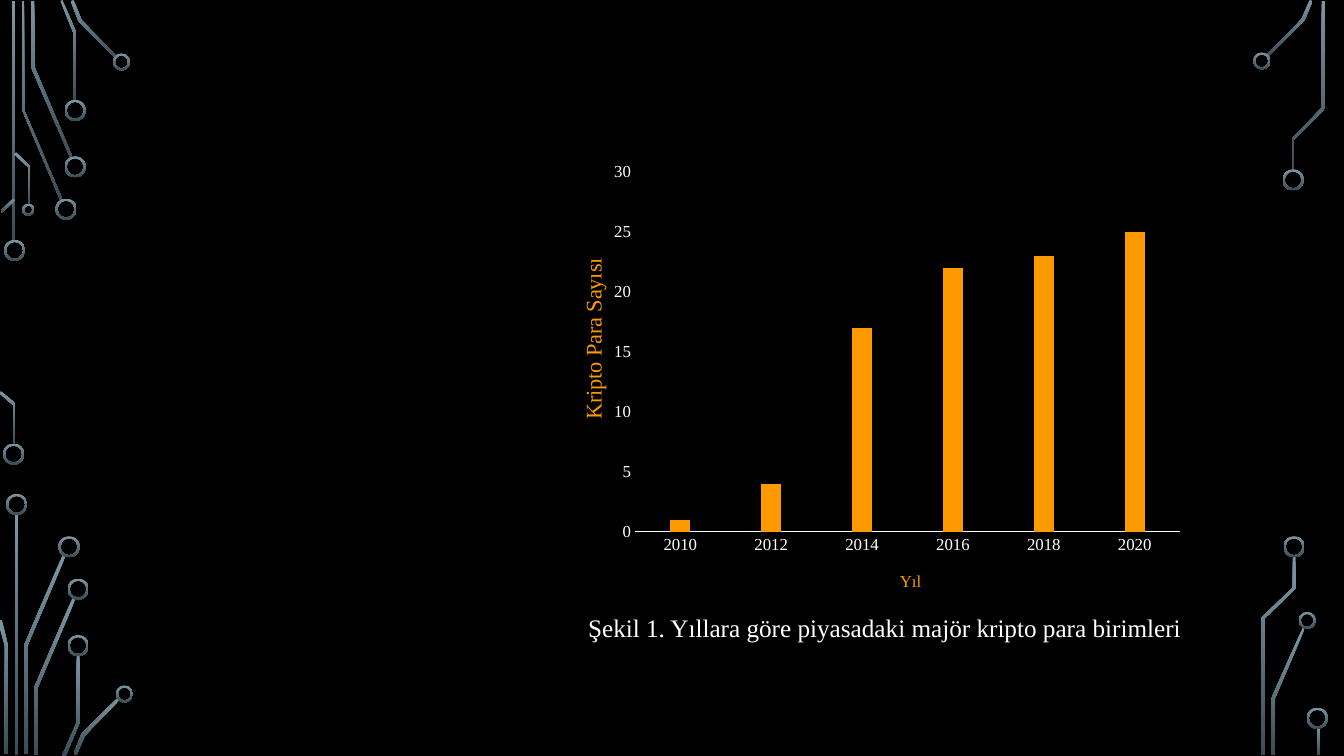
import pptx
import pptx.chart.data
import pptx.dml.color
import pptx.enum.chart
import pptx.enum.shapes
import pptx.enum.text
import pptx.oxml
import pptx.oxml.ns
import pptx.util

PX = 9144  # 100 px to the inch
FONT = "Times New Roman"
HEX = {"black": "000000", "white": "FFFFFF", "gold": "FE9900",
       "light": "7C96A3", "dark": "3B4C54"}
SHAPES = pptx.enum.shapes.MSO_SHAPE
TICK = pptx.enum.chart.XL_TICK_MARK

# Circuit bars: left, top, width, height
BARS = [(12, 1, 3, 239), (15, 510, 3, 239), (1306, 721, 3, 28)]

# Circuit rings: left, top, size
RINGS = [(4, 238, 21), (3, 440, 21), (55, 197, 21), (64, 155, 21), (64, 99, 21),
         (112, 53, 17), (22, 202, 12), (6, 490, 21), (58, 532, 21), (67, 574, 21),
         (67, 630, 21), (115, 680, 17), (1243, 52, 17), (1272, 168, 21),
         (1288, 607, 17), (1273, 532, 21), (1296, 702, 21)]

# Circuit traces: corner points
TRACES = [
    # top left
    [(60, 199), (22, 109), (22, 1), (24, 1), (24, 109), (62, 198)],
    [(70, 157), (31, 67), (31, 1), (34, 1), (34, 66), (72, 156)],
    [(76, 100), (73, 100), (73, 33), (60, 1), (62, 0), (76, 33)],
    [(115, 58), (78, 21), (70, 1), (73, 0), (81, 20), (116, 56)],
    [(2, 211), (1, 209), (13, 197), (15, 199)],
    [(15, 441), (13, 441), (13, 402), (-1, 390), (1, 388), (15, 400)],
    [(30, 203), (28, 203), (28, 166), (14, 153), (16, 151), (30, 165)],
    # bottom left
    [(27, 748), (24, 748), (24, 640), (62, 551), (65, 552), (27, 641)],
    [(8, 748), (5, 748), (5, 641), (-2, 616), (2, 615), (8, 641)],
    [(37, 749), (34, 749), (34, 682), (72, 593), (75, 594), (37, 683)],
    [(65, 750), (62, 749), (76, 717), (76, 650), (79, 650), (79, 717)],
    [(76, 749), (73, 748), (81, 728), (117, 692), (119, 694), (84, 730)],
    # top right
    [(1258, 56), (1256, 55), (1291, 19), (1299, 0), (1302, 1), (1294, 20)],
    [(1283, 169), (1281, 169), (1281, 138), (1311, 107), (1311, 1),
     (1314, 1), (1314, 108), (1283, 139)],
    # bottom right
    [(1264, 749), (1261, 749), (1261, 693), (1292, 623), (1294, 624), (1264, 694)],
    [(1254, 749), (1251, 749), (1251, 613), (1282, 583), (1282, 552),
     (1285, 552), (1285, 584), (1254, 614)],
]

YEARS = ["2010", "2012", "2014", "2016", "2018", "2020"]
COUNTS = [1, 4, 17, 22, 23, 25]


def tint(name):
    return pptx.dml.color.RGBColor.from_string(HEX[name])


def scale(*sizes):
    return [size * PX for size in sizes]


def format(thing, values):
    for name, value in values.items():
        setattr(thing, name, value)


def style(font, size, color):
    format(font, {"name": FONT, "size": pptx.util.Pt(size), "bold": False})
    font.color.rgb = tint(color)


def shade(shape):
    """Fill from light at the top to dark at the foot."""
    shape.shadow.inherit = False
    shape.line.fill.background()
    shape.fill.gradient()
    shape.fill.gradient_angle = 270
    for stop, color, place in zip(shape.fill.gradient_stops, ("light", "dark"), (0, 1)):
        stop.color.rgb = tint(color)
        stop.position = place


def add_bar(slide, box):
    shade(slide.shapes.add_shape(SHAPES.RECTANGLE, *scale(*box)))


def add_ring(slide, left, top, size):
    ring = slide.shapes.add_shape(SHAPES.DONUT, *scale(left, top, size, size))
    ring.adjustments[0] = 2 / size
    shade(ring)


def add_trace(slide, points):
    pen = slide.shapes.build_freeform(*points[0], scale=PX)
    pen.add_line_segments(points[1:], close=True)
    shade(pen.convert_to_shape())


def set_place(parent, index, values):
    """Give a chart part a fixed place, in shares of the chart."""
    old = parent.find(pptx.oxml.ns.qn("c:layout"))
    if old is not None:
        parent.remove(old)
    marks = "".join(f'<c:{tag} val="{value}"/>' for tag, value in values.items())
    parent.insert(index, pptx.oxml.parse_xml(
        f'<c:layout {pptx.oxml.ns.nsdecls("c")}><c:manualLayout>{marks}'
        '</c:manualLayout></c:layout>'))


def set_axis(axis, title, size, left, top):
    format(axis, {"has_major_gridlines": False, "has_title": True,
                  "major_tick_mark": TICK.NONE, "minor_tick_mark": TICK.NONE})
    style(axis.tick_labels.font, 12, "white")
    frame = axis.axis_title.text_frame
    frame.text = title
    style(frame.paragraphs[0].runs[0].font, size, "gold")
    set_place(axis.axis_title._element, 1,
              {"xMode": "edge", "yMode": "edge", "x": left, "y": top})
    return frame


def add_graph(slide, box):
    data = pptx.chart.data.CategoryChartData()
    data.categories = YEARS
    data.add_series("Series 1", COUNTS)
    kind = pptx.enum.chart.XL_CHART_TYPE.COLUMN_CLUSTERED
    chart = slide.shapes.add_chart(kind, *scale(*box), data).chart
    format(chart, {"has_title": False, "has_legend": False})
    style(chart.font, 10, "white")

    # Columns
    plot = chart.plots[0]
    format(plot, {"gap_width": 355, "overlap": -70, "vary_by_categories": False})
    fill = plot.series[0].format.fill
    fill.solid()
    fill.fore_color.rgb = tint("gold")
    set_place(chart._chartSpace.chart.plotArea, 0,
              {"layoutTarget": "inner", "xMode": "edge", "yMode": "edge",
               "x": 0.105, "y": 0.051, "w": 0.864, "h": 0.782})

    # Axes
    years, counts = chart.category_axis, chart.value_axis
    set_axis(years, "Yıl", 12, 0.52, 0.91)
    years.format.line.color.rgb = tint("white")
    years.format.line.width = pptx.util.Pt(0.75)
    frame = set_axis(counts, "Kripto Para Sayısı", 16, 0.01, 0.23)
    frame._txBody.bodyPr.set("rot", "-5400000")
    format(counts, {"minimum_scale": 0, "maximum_scale": 30, "major_unit": 5})
    counts.format.line.fill.background()


def add_label(slide, text, box):
    frame = slide.shapes.add_textbox(*scale(*box)).text_frame
    format(frame, {"word_wrap": True,
                   "auto_size": pptx.enum.text.MSO_AUTO_SIZE.SHAPE_TO_FIT_TEXT})
    line = frame.paragraphs[0]
    line.alignment = pptx.enum.text.PP_ALIGN.CENTER
    run = line.add_run()
    run.text = text
    style(run.font, 18, "white")


def main():
    deck = pptx.Presentation()
    format(deck, {"slide_width": 1333 * PX, "slide_height": 750 * PX})
    slide = deck.slides.add_slide(deck.slide_layouts[6])
    slide.background.fill.solid()
    slide.background.fill.fore_color.rgb = tint("black")

    # Circuit border
    for box in BARS:
        add_bar(slide, box)
    for points in TRACES:
        add_trace(slide, points)
    for ring in RINGS:
        add_ring(slide, *ring)

    # Chart and caption
    add_graph(slide, (564, 147, 626, 457))
    add_label(slide, "Şekil 1. Yıllara göre piyasadaki majör kripto para birimleri",
              (544, 603, 667, 40))
    deck.save("out.pptx")


if __name__ == "__main__":
    main()
